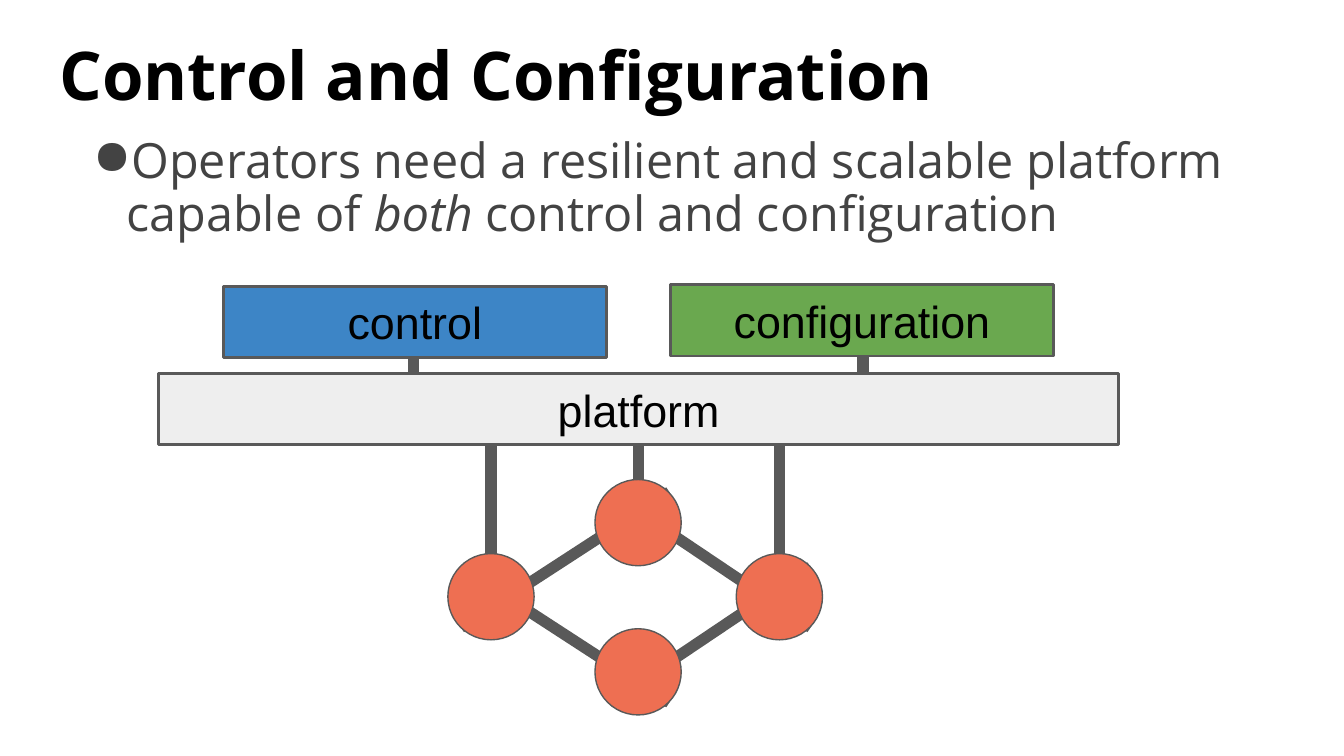
from lxml.etree import SubElement
from pptx import Presentation
from pptx.dml.color import RGBColor
from pptx.enum.shapes import MSO_CONNECTOR as CONN, MSO_SHAPE as SHAPE
from pptx.enum.text import MSO_ANCHOR as ANCHOR, PP_ALIGN as ALIGN
from pptx.oxml.ns import qn
from pptx.util import Cm, Pt

BLACK = RGBColor(0x00, 0x00, 0x00)
TEXT = RGBColor(0x43, 0x43, 0x43)
EDGE = RGBColor(0x59, 0x59, 0x59)
BLUE = RGBColor(0x3D, 0x85, 0xC6)
GREEN = RGBColor(0x6A, 0xA8, 0x4F)
GRAY = RGBColor(0xEE, 0xEE, 0xEE)
CORAL = RGBColor(0xEE, 0x6F, 0x52)

INSET = Cm(0.25)
BOX_H = 1.35
NODE_D = 1.63
LEFT_X, MID_X, RIGHT_X = 9.28, 12.06, 14.73
TOP_Y, SIDE_Y, BOTTOM_Y = 9.88, 11.28, 12.7


def set_frame(tf, anchor):
    tf.word_wrap = True
    tf.vertical_anchor = anchor
    tf.margin_left = tf.margin_right = INSET
    tf.margin_top = tf.margin_bottom = INSET


def add_run(p, text, font, size, color, bold=False, italic=False):
    r = p.add_run()
    r.text = text
    r.font.name = font
    r.font.size = Pt(size)
    r.font.color.rgb = color
    r.font.bold = bold
    r.font.italic = italic


def add_text(slide, y, h):
    s = slide.shapes.add_textbox(Cm(0.87), Cm(y), Cm(23.67), Cm(h))
    set_frame(s.text_frame, ANCHOR.TOP)
    return s.text_frame.paragraphs[0]


def add_bullet(p):
    pPr = p._p.get_or_add_pPr()
    pPr.set("marL", str(Cm(1.27)))
    pPr.set("indent", str(-Cm(0.635)))
    color = SubElement(pPr, qn("a:buClr"))
    SubElement(color, qn("a:srgbClr")).set("val", str(TEXT))
    SubElement(pPr, qn("a:buChar")).set("char", "●")


def add_filled(shapes, kind, x, y, w, h, fill, weight):
    s = shapes.add_shape(kind, Cm(x), Cm(y), Cm(w), Cm(h))
    s.shadow.inherit = False
    s.fill.solid()
    s.fill.fore_color.rgb = fill
    s.line.color.rgb = EDGE
    s.line.width = Pt(weight)
    return s


def add_box(shapes, text, x, y, w, fill):
    s = add_filled(shapes, SHAPE.RECTANGLE, x, y, w, BOX_H, fill, 1.5)
    set_frame(s.text_frame, ANCHOR.MIDDLE)
    p = s.text_frame.paragraphs[0]
    p.alignment = ALIGN.CENTER
    add_run(p, text, "Arial", 24, BLACK)


def add_node(shapes, x, y):
    r = NODE_D / 2
    add_filled(shapes, SHAPE.OVAL, x - r, y - r, NODE_D, NODE_D, CORAL, 0.75)


def add_link(shapes, x1, y1, x2, y2):
    c = shapes.add_connector(CONN.STRAIGHT, Cm(x1), Cm(y1), Cm(x2), Cm(y2))
    c.line.color.rgb = EDGE
    c.line.width = Pt(6)
    SubElement(c._element.spPr, qn("a:effectLst"))


def add_network(shapes):
    for x, y1, y2 in [(LEFT_X, 10.67, 8.1), (RIGHT_X, 10.67, 8.1), (MID_X, 10.69, 8.41)]:
        add_link(shapes, x, y1, x, y2)
    for x1, x2 in [(8.71, 12.65), (15.32, 11.51)]:
        add_link(shapes, x1, 11.86, x2, 9.3)
        add_link(shapes, x1, 10.72, x2, 13.28)
    for x, y in [(LEFT_X, SIDE_Y), (RIGHT_X, SIDE_Y), (MID_X, BOTTOM_Y), (MID_X, TOP_Y)]:
        add_node(shapes, x, y)


def main():
    prs = Presentation()
    prs.slide_width, prs.slide_height = Cm(25.4), Cm(14.29)
    slide = prs.slides.add_slide(prs.slide_layouts[6])

    p = add_text(slide, 2.34, 11)
    add_bullet(p)
    p.line_spacing = 0.9
    add_run(p, "Operators need a resilient and scalable platform capable of ", "Open Sans", 26, TEXT)
    add_run(p, "both", "Open Sans", 26, TEXT, italic=True)
    add_run(p, " control and configuration", "Open Sans", 26, TEXT)
    add_run(add_text(slide, 0.38, 1.6), "Control and Configuration", "Open Sans", 36, BLACK, bold=True)

    shapes = slide.shapes.add_group_shape().shapes
    add_box(shapes, "configuration", 12.67, 5.38, 7.24, GREEN)
    add_box(shapes, "control", 4.22, 5.41, 7.24, BLUE)
    add_network(shapes)
    for x in (7.82, 16.31):
        add_link(shapes, x, 7.78, x, 6.75)
    add_box(shapes, "platform", 3, 7.06, 18.14, GRAY)
    prs.save("out.pptx")


if __name__ == "__main__":
    main()
